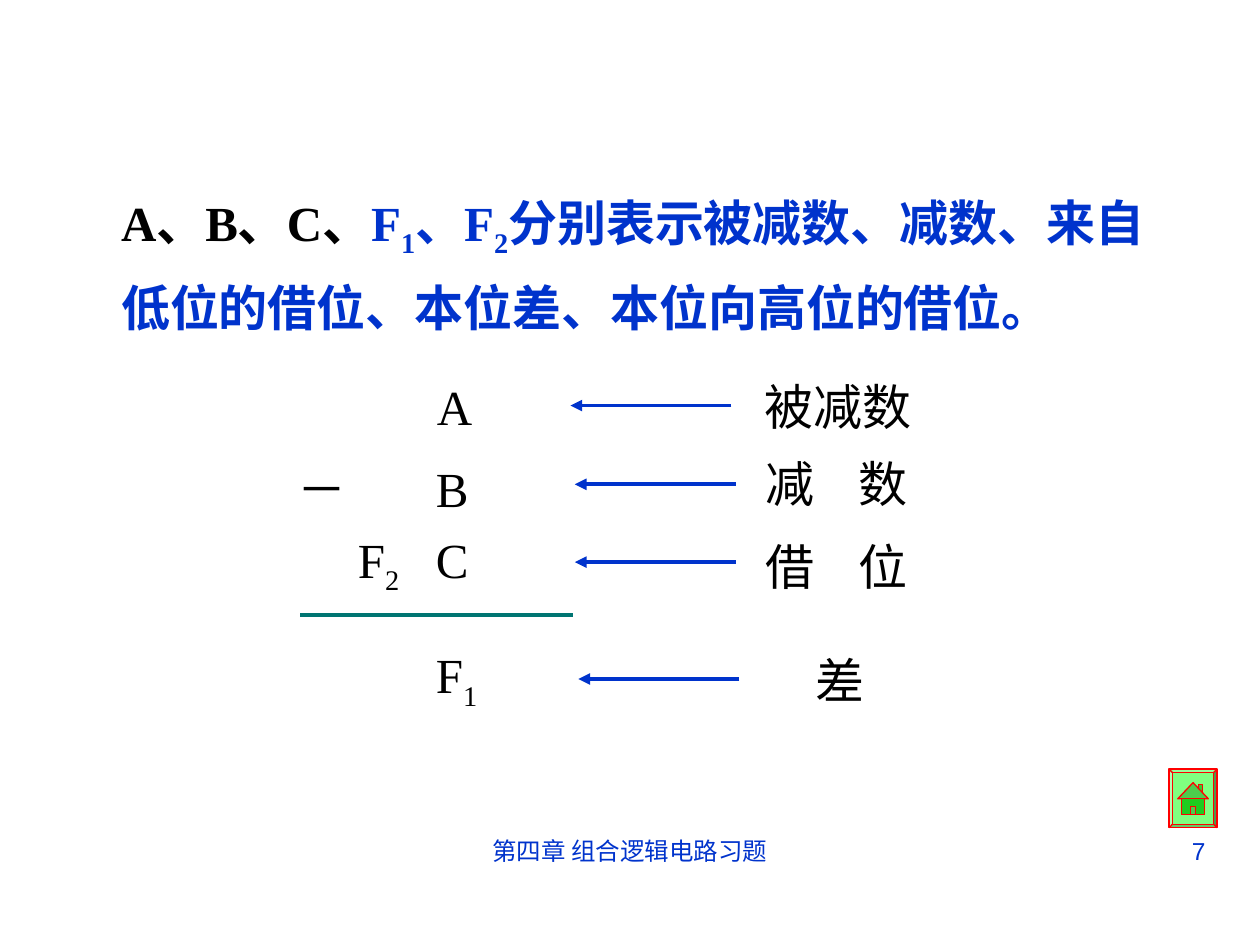
"""Build the full subtractor slide."""
from dataclasses import dataclass

from lxml import etree
from pptx import Presentation
from pptx.dml.color import RGBColor
from pptx.enum.shapes import MSO_CONNECTOR, MSO_SHAPE
from pptx.enum.text import MSO_ANCHOR, MSO_AUTO_SIZE, PP_ALIGN
from pptx.oxml.ns import qn
from pptx.util import Pt

LEFT, MID, RIGHT = PP_ALIGN.LEFT, PP_ALIGN.CENTER, PP_ALIGN.RIGHT
TOP, NO_FIT = MSO_ANCHOR.TOP, MSO_AUTO_SIZE.NONE
LINE = MSO_CONNECTOR.STRAIGHT
BEVEL, RECT, ROOF = MSO_SHAPE.BEVEL, MSO_SHAPE.RECTANGLE, MSO_SHAPE.ISOSCELES_TRIANGLE
BLUE, BLACK, TEAL, RED = "0033CC", "000000", "007572", "FF0000"
MATH = {"name": "Times New Roman", "size": Pt(28), "bold": False}
BOLD = {**MATH, "bold": True}
FOOT = {"name": "Arial", "size": Pt(14), "bold": False}


@dataclass
class Run:
    text: str
    hue: str = BLACK
    sub: bool = False


@dataclass
class Label:
    runs: list[Run]
    x: float
    y: float
    w: float
    h: float = 41
    font: dict | None = None
    align: int = LEFT
    wrap: bool = True
    tab: float = 0


@dataclass
class Stroke:
    x: float
    y: float
    end: float
    hue: str = BLUE
    head: bool = True


@dataclass
class Part:
    kind: int
    x: float
    y: float
    w: float
    h: float
    fill: str


def color(code: str) -> RGBColor:
    """Turn a hex string into a colour."""
    return RGBColor.from_string(code)


def write(para, runs: list[Run], font: dict) -> None:
    """Add formatted runs to a paragraph."""
    for item in runs:
        run = para.add_run()
        run.text = item.text
        for key, value in font.items():
            setattr(run.font, key, value)
        run.font.color.rgb = color(item.hue)
        if item.sub:
            run.font._element.set("baseline", "-25000") if hasattr(
                run.font, "_element") else run._r.get_or_add_rPr().set("baseline", "-25000")


def label(slide, item: Label) -> None:
    """Draw one text box."""
    box = slide.shapes.add_textbox(Pt(item.x), Pt(item.y), Pt(item.w), Pt(item.h))
    box.text_frame.word_wrap = item.wrap
    para = box.text_frame.paragraphs[0]
    para.alignment = item.align
    if item.tab:
        stops = etree.SubElement(para._p.get_or_add_pPr(), qn("a:tabLst"))
        etree.SubElement(stops, qn("a:tab"), pos=str(Pt(item.tab)), algn="l")
    write(para, item.runs, item.font or MATH)


def stroke(slide, item: Stroke) -> None:
    """Draw one level line or arrow."""
    line = slide.shapes.add_connector(LINE, Pt(item.x), Pt(item.y), Pt(item.end), Pt(item.y))
    line.line.width = Pt(2.25)
    line.line.color.rgb = color(item.hue)
    if item.head:
        etree.SubElement(line.line._get_or_add_ln(), qn("a:tailEnd"), type="triangle")
    etree.SubElement(line._element.spPr, qn("a:effectLst"))


def part(slide, item: Part) -> None:
    """Draw one piece of the home button."""
    shape = slide.shapes.add_shape(item.kind, Pt(item.x), Pt(item.y), Pt(item.w), Pt(item.h))
    shape.shadow.inherit = False
    shape.fill.solid()
    shape.fill.fore_color.rgb = color(item.fill)
    shape.line.color.rgb = color(RED)
    shape.line.width = Pt(0.75)
    if item.kind == BEVEL:
        shape.adjustments[0] = 0.07


def body(slide, runs: list[Run]) -> None:
    """Fill the body placeholder with the main text."""
    shape = slide.placeholders[1]
    place = {"left": Pt(62), "top": Pt(95), "width": Pt(602.5), "height": Pt(101)}
    for key, value in place.items():
        setattr(shape, key, value)
    frame = shape.text_frame
    for key, value in {"word_wrap": True, "auto_size": NO_FIT, "vertical_anchor": TOP}.items():
        setattr(frame, key, value)
    para = frame.paragraphs[0]
    props = para._p.get_or_add_pPr()
    props.set("marL", "0")
    props.set("indent", "0")
    etree.SubElement(props, qn("a:buNone"))
    para.line_spacing = 1.3
    para.space_before = Pt(0)
    write(para, runs, BOLD)


BODY = [
    Run("A、B、C、"), Run("F", BLUE), Run("1", BLUE, True), Run("、F", BLUE), Run("2", BLUE, True),
    Run("分别表示被减数、减数、来自低位的借位、本位差、本位向高位的借位。", BLUE),
]
PARTS = [
    Part(BEVEL, 668, 439.5, 27.5, 33.5, "80FF80"),
    Part(RECT, 684.75, 448.5, 2.25, 6, "33CC33"),
    Part(ROOF, 673, 447.25, 17.5, 9.25, "4DCC4D"),
    Part(RECT, 675, 456.5, 13.5, 9, "1FCC1F"),
    Part(RECT, 680.5, 461, 2.5, 4.5, "4DCC4D"),
]
LABELS = [
    Label([Run("第四章 组合逻辑电路习题", BLUE)], 246, 474, 228, 37.5, FOOT, MID),
    Label([Run("7", BLUE)], 516, 474, 180, 37.5, FOOT, RIGHT),
    Label([Run("A")], 242.5, 211.5, 37.5),
    Label([Run("B")], 242, 258.5, 37.5),
    Label([Run("C")], 242, 299, 37.5),
    Label([Run("F"), Run("1", sub=True)], 242, 365, 62.5, 45),
    Label([Run("F"), Run("2", sub=True)], 197.5, 299, 50, 45),
    Label([Run("－")], 162.5, 258.5, 42.5, align=MID, wrap=False),
    Label([Run("被减数")], 430, 211.5, 114),
    Label([Run("减\t数")], 430.5, 255.5, 114, tab=53),
    Label([Run("借\t位")], 430.5, 303, 114, tab=53),
    Label([Run("差")], 459, 368, 86),
]
STROKES = [
    Stroke(171.5, 351.25, 327.5, TEAL, False),
    Stroke(418, 231.75, 326),
    Stroke(420.5, 276.75, 328.5),
    Stroke(420.5, 321.25, 328.5),
    Stroke(422.5, 388, 330.5),
]


def main() -> None:
    """Build and save the slide."""
    deck = Presentation()
    deck.slide_width, deck.slide_height = Pt(720), Pt(540)
    slide = deck.slides.add_slide(deck.slide_layouts[1])
    title = slide.shapes.title._element
    title.getparent().remove(title)
    body(slide, BODY)
    for draw, items in ((part, PARTS), (label, LABELS), (stroke, STROKES)):
        for item in items:
            draw(slide, item)
    deck.save("out.pptx")


if __name__ == "__main__":
    main()
